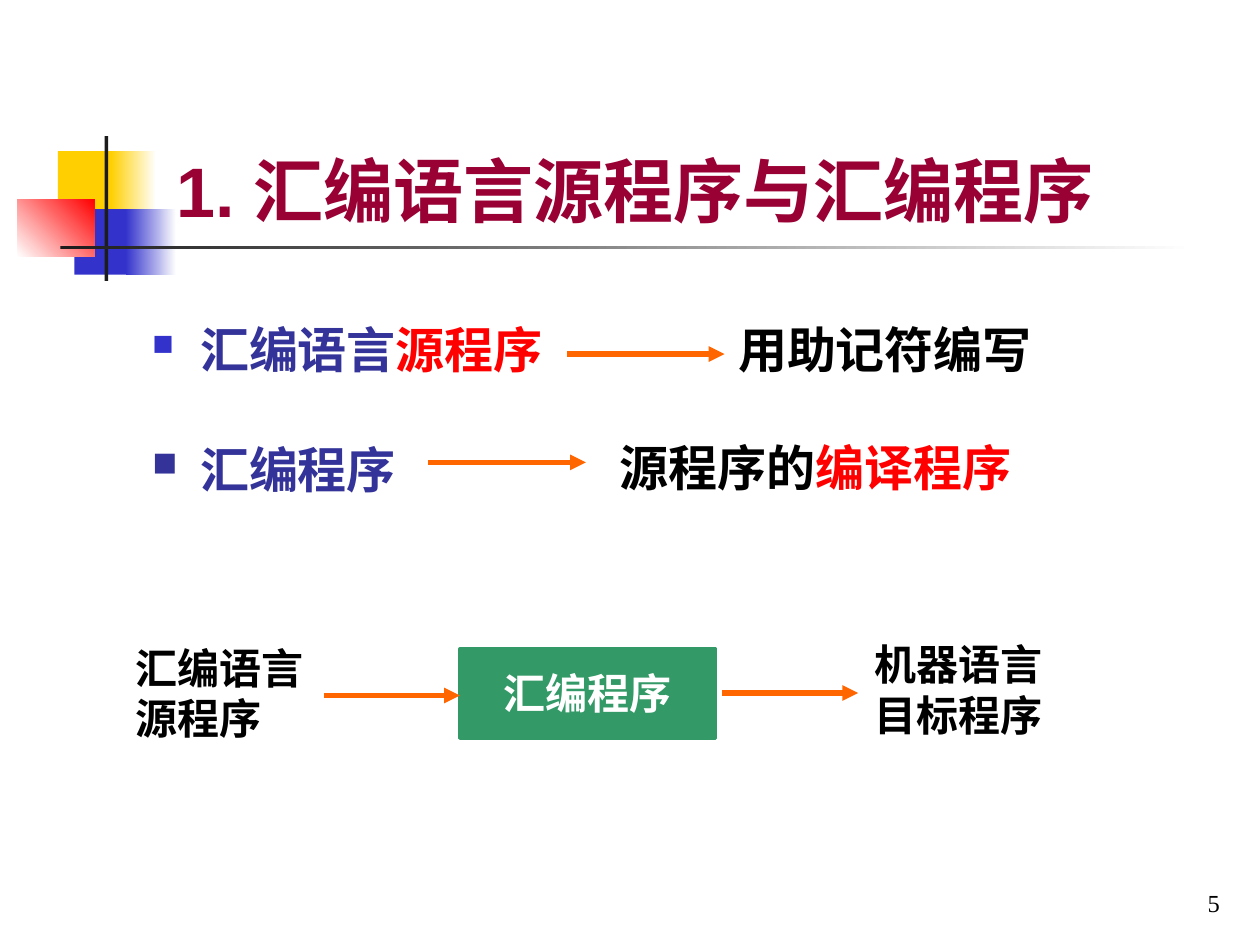
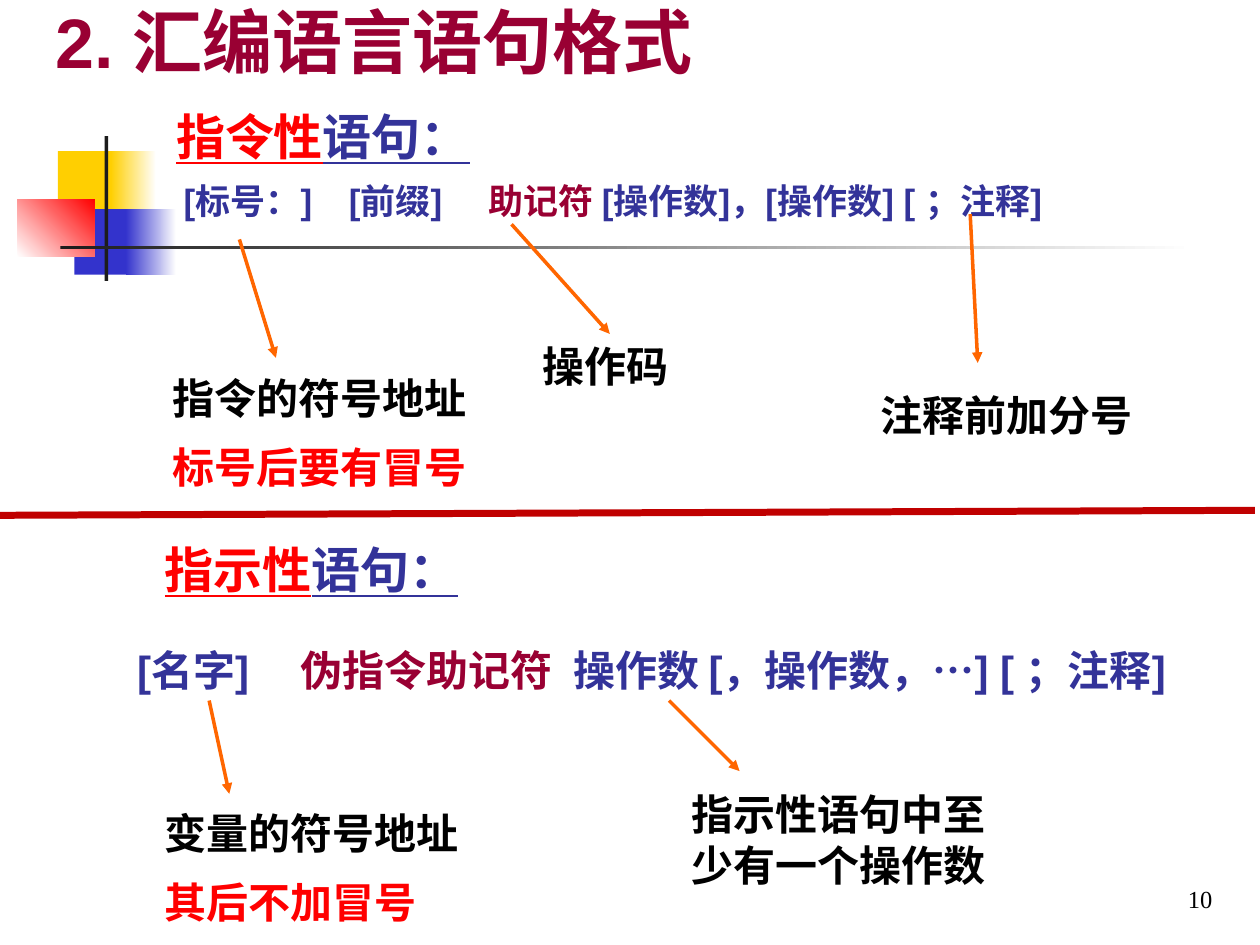
from lxml import etree
from pptx import Presentation
from pptx.dml.color import RGBColor as RGB
from pptx.enum.lang import MSO_LANGUAGE_ID as LANG
from pptx.enum.shapes import MSO_CONNECTOR as CONN, MSO_SHAPE as SHAPE
from pptx.enum.text import MSO_ANCHOR as ANCHOR, PP_ALIGN as ALIGN
from pptx.oxml.ns import qn
from pptx.util import Inches, Pt


class Theme:
    title, navy, red, black = "990033", "333399", "FF0000", "000000"
    white, yellow, blue, dark = "FFFFFF", "FFCF01", "3333CC", "1C1C1C"
    arrow, process, divider = "FF6600", "339966", "C00000"
    title_size, head_size, note_size, syntax_size, number_size = 40, 28, 24, 20, 14
    sans, serif, alt = "Arial", "Times New Roman", "Lato"


T = Theme


def add_text(s, box, paras, size, font=T.serif, bold=True, anchor=ANCHOR.TOP,
             align=ALIGN.LEFT, line=1.0):
    """Add a text box; paras holds (runs, options), each run (text, colour[, underline])."""
    tf = s.shapes.add_textbox(*map(Inches, box)).text_frame
    tf.word_wrap = True
    tf.vertical_anchor = anchor
    for i, (runs, opts) in enumerate(paras):
        p = tf.paragraphs[0] if i == 0 else tf.add_paragraph()
        pPr = p._p.get_or_add_pPr()
        if "bullet" in opts:
            colour, percent = opts["bullet"]
            pPr.set("marL", str(Inches(0.38)))
            pPr.set("indent", str(Inches(-0.38)))
            clr = etree.SubElement(pPr, qn("a:buClr"))
            etree.SubElement(clr, qn("a:srgbClr"), val=colour)
            etree.SubElement(pPr, qn("a:buSzPct"), val=str(percent * 1000))
            etree.SubElement(pPr, qn("a:buChar"), char="■")
        if "tabs" in opts:
            tabs = etree.SubElement(pPr, qn("a:tabLst"))
            for pos in opts["tabs"]:
                etree.SubElement(tabs, qn("a:tab"), pos=str(Inches(pos)), algn="l")
        p.alignment = align
        p.line_spacing = line
        p.space_before = Pt(opts.get("before", 0))
        p.space_after = Pt(opts.get("after", 0))
        for text, colour, *underline in runs:
            r = p.add_run()
            r.text = text
            f = r.font
            f.name, f.size, f.bold = font, Pt(opts.get("size", size)), bold
            f.color.rgb = RGB.from_string(colour)
            f.underline = bool(underline)
            f.language_id = LANG.SIMPLIFIED_CHINESE


def add_line(s, ends, width, colour=T.arrow, arrow=True):
    c = s.shapes.add_connector(CONN.STRAIGHT, *map(Inches, ends))
    c.line.width = Pt(width)
    c.line.color.rgb = RGB.from_string(colour)
    if arrow:
        etree.SubElement(c.line._get_or_add_ln(), qn("a:tailEnd"), type="triangle")
    etree.SubElement(c._element.spPr, qn("a:effectLst"))


prs = Presentation()
prs.slide_width, prs.slide_height = Inches(10), Inches(7.5)

# Shared frame: ornament, title and slide number
ornament = [  # box, colours from start to end, angle
    ((0.46, 1.2, 0.48, 0.52), [T.yellow], 0),
    ((0.88, 1.2, 0.36, 0.52), [T.yellow, T.white], 0),
    ((0.59, 1.66, 0.46, 0.52), [T.blue], 0),
    ((1, 1.66, 0.4, 0.52), [T.blue, T.white], 0),
    ((0.14, 1.58, 0.61, 0.46), [T.white, T.red], 45),
    ((0.83, 1.08, 0.03, 1.15), [T.dark], 0),
    ((0.48, 1.95, 9, 0.03), [T.dark, T.white], 0),
]
frames = [  # title, title box, number, number box
    ("1. 汇编语言源程序与汇编程序", (1.3, 0.76, 7.95, 1.13), "5", (7.7, 6.83, 2.08, 0.5)),
    ("2. 汇编语言语句格式", (0.34, 0.02, 6.89, 0.68), "10", (7.64, 6.8, 2.08, 0.5)),
]
slides = []
for title, title_box, number, number_box in frames:
    s = prs.slides.add_slide(prs.slide_layouts[6])
    slides.append(s)
    for box, colours, angle in ornament:
        sp = s.shapes.add_shape(SHAPE.RECTANGLE, *map(Inches, box))
        sp.shadow.inherit = False
        sp.line.fill.background()
        if len(colours) == 1:
            sp.fill.solid()
            sp.fill.fore_color.rgb = RGB.from_string(colours[0])
        else:
            sp.fill.gradient()
            sp.fill.gradient_angle = angle
            for stop, colour, pos in zip(sp.fill.gradient_stops, colours, (0, 1)):
                stop.color.rgb = RGB.from_string(colour)
                stop.position = pos
    add_text(s, title_box, [([(title, T.title)], {})], T.title_size, T.sans,
             anchor=ANCHOR.BOTTOM)
    add_text(s, number_box, [([(number, T.black)], {})], T.number_size, bold=False,
             anchor=ANCHOR.BOTTOM, align=ALIGN.RIGHT)

# Slide 1: source program and assembler
s = slides[0]
add_text(s, (1.11, 2.44, 3.71, 1.86), [
    ([("汇编语言", T.navy), ("源程序", T.red)], {"bullet": (T.blue, 60), "after": 14}),
    ([("汇编程序", T.navy)], {"bullet": (T.navy, 70), "before": 17.5, "after": 1.8}),
], T.head_size, T.sans, line=1.1)
add_text(s, (5.76, 2.49, 2.75, 0.57), [([("用助记符编写", T.black)], {})], T.head_size)
add_text(s, (4.82, 3.42, 3.54, 0.57),
         [([("源程序的", T.black), ("编译程序", T.red)], {})], T.head_size, T.alt)

sp = s.shapes.add_shape(SHAPE.RECTANGLE, *map(Inches, (3.65, 5.15, 2.03, 0.71)))
sp.shadow.inherit = False
sp.fill.solid()
sp.fill.fore_color.rgb = sp.line.color.rgb = RGB.from_string(T.process)
sp.line.width = Pt(2)
add_text(s, (3.9, 5.25, 2.08, 0.5), [([("汇编程序", T.white)], {})], T.note_size, T.sans)
for label, box in [("汇编语言源程序", (0.98, 5.05, 1.75, 0.9)),
                   ("机器语言目标程序", (6.84, 5.02, 1.83, 0.9))]:
    add_text(s, box, [([(label, T.black)], {})], T.note_size)
for x, y, length in [(4.5, 2.81, 1.25), (3.4, 3.67, 1.25), (2.57, 5.52, 1.08), (5.73, 5.5, 1.08)]:
    add_line(s, (x, y, x + length, y), 3)

# Slide 2: instruction statements above, directive statements below
s = slides[1]
add_text(s, (1.14, 0.75, 8.8, 2.27), [
    ([("\t", T.navy), ("指令性", T.red, True), ("语句：", T.navy, True)],
     {"tabs": [0.16], "after": 1.8}),
    ([("\t[标号：]\t[前缀]\t", T.navy), ("助记符 ", T.title),
      ("[操作数]，[操作数] [ ；注释]", T.navy)],
     {"tabs": [0.22, 1.53, 2.64], "size": T.syntax_size, "before": 3.7, "after": 1.2}),
], T.head_size, T.sans, line=1.1)
add_line(s, (0, 4.09, 9.96, 4.05), 4, T.divider, arrow=False)
add_text(s, (1.21, 4.01, 5.08, 0.79),
         [([("指示性", T.red, True), ("语句：", T.navy, True)], {})],
         T.head_size, T.sans, anchor=ANCHOR.BOTTOM)
add_text(s, (0.99, 5.03, 8.9, 1.17), [
    ([("[名字]\t", T.navy), ("伪指令助记符\t", T.title),
      ("操作数 [，操作数，…] [ ；注释]", T.navy)], {"tabs": [1.3, 3.46]}),
], T.note_size, T.sans, line=1.1)

for fact, rule, box, line, before in [
        ("指令的符号地址", "标号后要有冒号", (1.27, 2.85, 2.99, 1.11), 1.15, 6),
        ("变量的符号地址", "其后不加冒号", (1.21, 6.32, 3.12, 1.09), 1.1, 7.5)]:
    add_text(s, box, [([(fact, T.black)], {}), ([(rule, T.red)], {"before": before})],
             T.note_size, line=line)
for note, box in [("操作码", (4.21, 2.65, 1.42, 0.5)),
                  ("注释前加分号", (6.89, 3.04, 2.26, 0.5)),
                  ("指示性语句中至少有一个操作数", (5.39, 6.21, 2.76, 0.9))]:
    add_text(s, box, [([(note, T.black)], {})], T.note_size)
for ends in [(1.9, 1.9, 2.19, 2.84), (4.06, 1.78, 4.84, 2.65), (7.7, 1.7, 7.76, 2.88),
             (1.66, 5.56, 1.82, 6.3), (5.31, 5.56, 5.87, 6.12)]:
    add_line(s, ends, 2)

prs.save("out.pptx")
